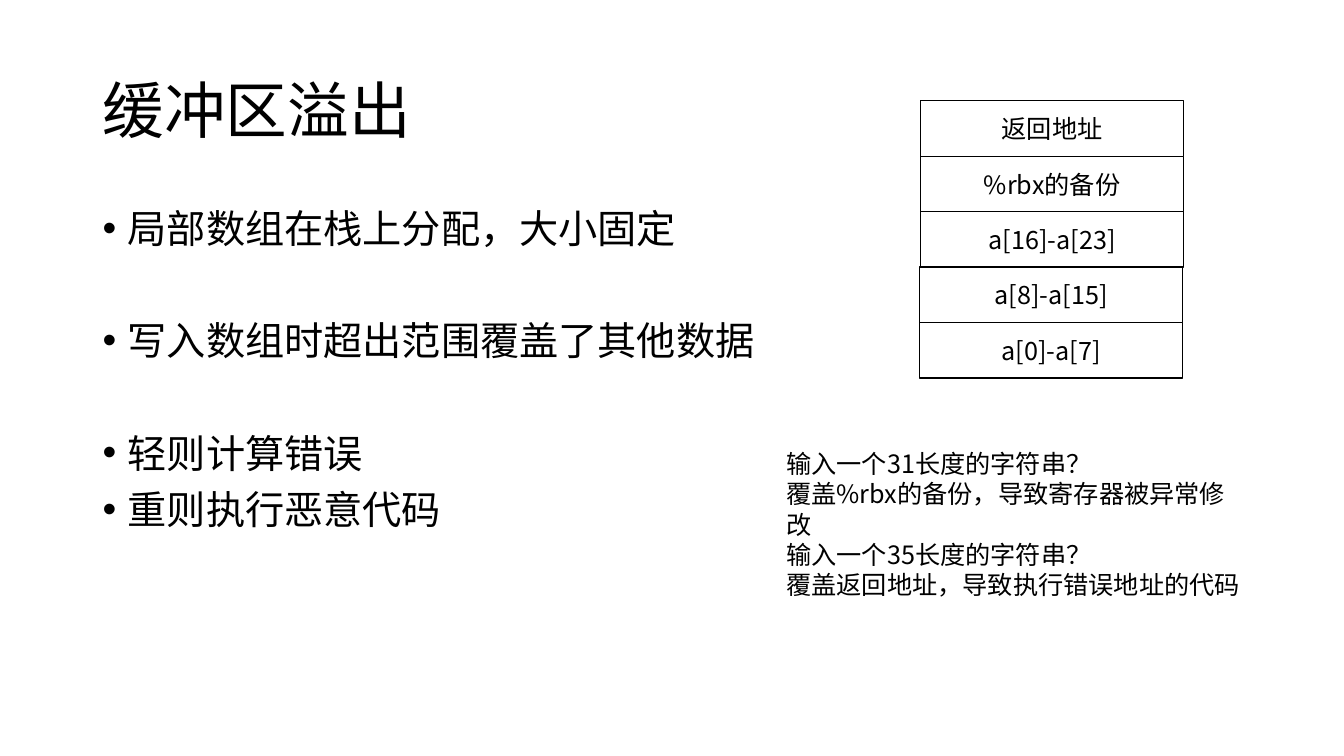
import dataclasses

import lxml.etree
import pptx
import pptx.dml.color
import pptx.enum.lang
import pptx.enum.shapes
import pptx.enum.text
import pptx.oxml.ns
import pptx.util

Inches = pptx.util.Inches
Pt = pptx.util.Pt
ALIGN = pptx.enum.text.PP_ALIGN
ANCHOR = pptx.enum.text.MSO_ANCHOR


@dataclasses.dataclass(frozen=True)
class Theme:
    ink: pptx.dml.color.RGBColor = pptx.dml.color.RGBColor(0, 0, 0)
    paper: pptx.dml.color.RGBColor = pptx.dml.color.RGBColor(255, 255, 255)
    font: str = "Noto Sans CJK SC"
    title: int = 44
    body: int = 28
    small: int = 18


theme = Theme()


def add_text(frame, text, first=True, size=theme.small, align=ALIGN.LEFT,
             spacing=None, before=0, bullet=False):
    """Write one paragraph into a text frame."""
    paragraph = frame.paragraphs[0] if first else frame.add_paragraph()
    if bullet:
        properties = paragraph._p.get_or_add_pPr()
        properties.set("marL", str(Inches(0.25)))
        properties.set("indent", str(Inches(-0.25)))
        lxml.etree.SubElement(properties, pptx.oxml.ns.qn("a:buFont"), typeface="Arial")
        lxml.etree.SubElement(properties, pptx.oxml.ns.qn("a:buChar"), char="•")
    paragraph.alignment = align
    paragraph.line_spacing = spacing
    if not first:
        paragraph.space_before = Pt(before)
    run = paragraph.add_run()
    run.text = text
    run.font.size = Pt(size)
    run.font.name = theme.font
    run.font.color.rgb = theme.ink
    run.font.language_id = pptx.enum.lang.MSO_LANGUAGE_ID.SIMPLIFIED_CHINESE
    lxml.etree.SubElement(run._r.get_or_add_rPr(), pptx.oxml.ns.qn("a:ea"),
                          typeface=theme.font)


def add_frame(left, top, width, height, anchor=ANCHOR.TOP):
    """Add a wrapping text box and return its text frame."""
    box = slide.shapes.add_textbox(Inches(left), Inches(top), Inches(width), Inches(height))
    box.text_frame.word_wrap = True
    box.text_frame.vertical_anchor = anchor
    return box.text_frame


presentation = pptx.Presentation()
presentation.slide_width = Inches(13.33)
presentation.slide_height = Inches(7.5)
slide = presentation.slides.add_slide(presentation.slide_layouts[6])

# Title
title = add_frame(0.92, 0.4, 11.5, 1.45, anchor=ANCHOR.MIDDLE)
add_text(title, "缓冲区溢出", size=theme.title, spacing=0.9)

# Main points, with the space before each
points = [
    ("局部数组在栈上分配，大小固定", 0),
    ("写入数组时超出范围覆盖了其他数据", 50),
    ("轻则计算错误", 50),
    ("重则执行恶意代码", 10),
]
body = add_frame(0.92, 2.03, 11.5, 4.73)
for index, (point, gap) in enumerate(points):
    add_text(body, point, first=index == 0, size=theme.body, spacing=Pt(30.1),
             before=gap, bullet=True)

# Stack frame: saved values on top, array below
stack_top, cell_width, cell_height = 1, 2.61, 0.55
stack_cells = [
    ("返回地址", 9.13),
    ("%rbx的备份", 9.13),
    ("a[16]-a[23]", 9.13),
    ("a[8]-a[15]", 9.12),
    ("a[0]-a[7]", 9.12),
]
for row, (label, left) in enumerate(stack_cells):
    cell = slide.shapes.add_shape(
        pptx.enum.shapes.MSO_SHAPE.RECTANGLE, Inches(left),
        Inches(stack_top + row * cell_height), Inches(cell_width), Inches(cell_height))
    cell.shadow.inherit = False
    cell.fill.solid()
    cell.fill.fore_color.rgb = theme.paper
    cell.line.color.rgb = theme.ink
    cell.line.width = Pt(1)
    cell.text_frame.vertical_anchor = ANCHOR.MIDDLE
    add_text(cell.text_frame, label, align=ALIGN.CENTER)

# Overflow questions and answers
overflow_cases = [
    "输入一个31长度的字符串？",
    "覆盖%rbx的备份，导致寄存器被异常修改",
    "输入一个35长度的字符串？",
    "覆盖返回地址，导致执行错误地址的代码",
]
cases = add_frame(7.7, 4.4, 4.72, 1.31)
for index, case in enumerate(overflow_cases):
    add_text(cases, case, first=index == 0, spacing=Pt(21.6))

presentation.save("out.pptx")
